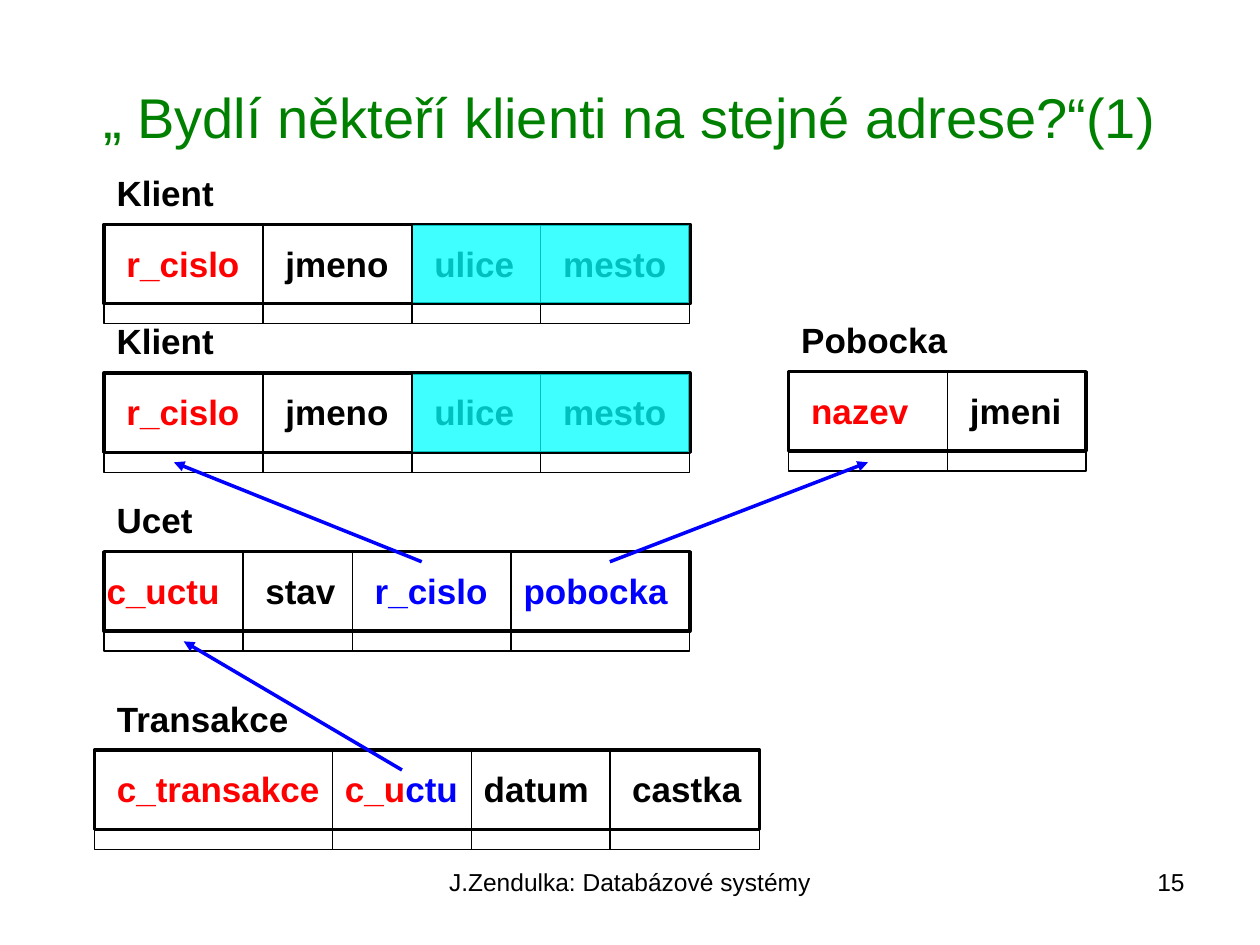
from lxml import etree
from pptx import Presentation
from pptx.dml.color import RGBColor
from pptx.enum.shapes import MSO_CONNECTOR, MSO_SHAPE
from pptx.enum.text import MSO_ANCHOR, MSO_AUTO_SIZE, PP_ALIGN
from pptx.oxml.ns import qn
from pptx.util import Pt

RECT, STRAIGHT = MSO_SHAPE.RECTANGLE, MSO_CONNECTOR.STRAIGHT
LEFT, CENTER, RIGHT = PP_ALIGN.LEFT, PP_ALIGN.CENTER, PP_ALIGN.RIGHT
FONT = "Arial"
COLORS = {"text": "000000", "title": "008000", "key": "FF0000",
          "foreign": "0000FF", "highlight": "00FFFF"}

# Content
TITLE = "„ Bydlí někteří klienti na stejné adrese?“(1)"
FOOTER, PAGE = "J.Zendulka: Databázové systémy", "15"

PAD = 5.7  # usual gap between a column edge and its text box
# Field: text runs with colours, text box width, gap from the column edge
CLIENT_FIELDS = [([("r_cislo", "key")], 78.5, PAD), ([("jmeno", "text")], 73.5, PAD),
                 ([("ulice", "text")], 60, PAD), ([("mesto", "text")], 73.5, PAD)]
BRANCH_FIELDS = [([("nazev", "key")], 70, PAD), ([("jmeni", "text")], 66, PAD)]
ACCOUNT_FIELDS = [([("c_uctu", "key")], 78.5, -PAD), ([("stav", "text")], 54, PAD),
                  ([("r_cislo", "foreign")], 78.5, PAD),
                  ([("pobocka", "foreign")], 96.5, 0)]
TRANSACTION_FIELDS = [([("c_transakce", "key")], 130.5, PAD),
                      ([("c_u", "key"), ("ctu", "foreign")], 78.5, 0),
                      ([("datum", "text")], 74, 0), ([("castka", "text")], 76.5, PAD)]

CLIENT_EDGES = [59.5, 150.3, 235.4, 309, 394.2]
# Relation: name, gap before the name, top, column edges, fields
RELATIONS = [
    ("Klient", 0, 213.1, CLIENT_EDGES, CLIENT_FIELDS),
    ("Pobocka", 0, 212.4, [450.7, 541.5, 620.6], BRANCH_FIELDS),
    ("Ucet", 0, 315.3, [59.5, 138.8, 201.3, 292.1, 394.2], ACCOUNT_FIELDS),
    ("Transakce", PAD, 428.7, [54, 190, 269.3, 348.5, 434], TRANSACTION_FIELDS),
    ("Klient", 0, 128.2, CLIENT_EDGES, CLIENT_FIELDS),
]
HEAD_H, BODY_H = 45.4, 11.4
ARROWS = [(229.7, 440, 105, 366.5), (241, 321, 99.4, 264.2), (348.5, 321, 496, 264.2)]
HIGHLIGHT_TOPS = [128.2, 213.1]

prs = Presentation()
prs.slide_width, prs.slide_height = Pt(720), Pt(540)
s = prs.slides.add_slide(prs.slide_layouts[5])


def rgb(name):
    return RGBColor.from_string(COLORS[name])


def add_rect(x, y, w, h, line_width, fill=None, opacity=100):
    sp = s.shapes.add_shape(RECT, Pt(x), Pt(y), Pt(w), Pt(h))
    sp.shadow.inherit = False
    sp.line.color.rgb = rgb("text")
    sp.line.width = Pt(line_width)
    if fill:
        sp.fill.solid()
        sp.fill.fore_color.rgb = rgb(fill)
        color = sp.fill._xPr.find(qn("a:solidFill"))[0]
        etree.SubElement(color, qn("a:alpha"), val=str(opacity * 1000))
    else:
        sp.fill.background()


def add_line(x1, y1, x2, y2, color, width, arrow=False):
    c = s.shapes.add_connector(STRAIGHT, Pt(x1), Pt(y1), Pt(x2), Pt(y2))
    c.line.color.rgb = rgb(color)
    c.line.width = Pt(width)
    if arrow:
        etree.SubElement(c.line._get_or_add_ln(), qn("a:tailEnd"), type="triangle")
    etree.SubElement(c._element.spPr, qn("a:effectLst"))


def add_text(x, y, w, h, runs, size=20, bold=True, align=LEFT):
    tf = s.shapes.add_textbox(Pt(x), Pt(y), Pt(w), Pt(h)).text_frame
    tf.word_wrap = True
    if align == LEFT:
        tf.margin_right = 0  # room for the tight field names
    p = tf.paragraphs[0]
    p.alignment = align
    p.font.name, p.font.size, p.font.bold = FONT, Pt(size), bold
    for text, color in runs:
        r = p.add_run()
        r.text = text
        r.font.color.rgb = rgb(color)


def add_relation(name, name_gap, top, edges, fields):
    left, width = edges[0], edges[-1] - edges[0]
    add_rect(left, top, width, HEAD_H, 2)
    add_rect(left, top + HEAD_H, width, BODY_H, 0.75)
    for x in edges[1:-1]:
        add_line(x, top, x, top + HEAD_H + BODY_H, "text", 0.75)
    for x, (runs, w, gap) in zip(edges, fields):
        add_text(x + gap, top + 6.6, w, 31.5, runs)
    add_text(left + name_gap, top - 33.9, 120, 31.5, [(name, "text")])


# Title
title = s.shapes.title
title.left, title.top, title.width, title.height = Pt(36), Pt(21.6), Pt(648), Pt(90)
tf = title.text_frame
tf.text = TITLE
tf.auto_size = MSO_AUTO_SIZE.NONE
tf.vertical_anchor = MSO_ANCHOR.MIDDLE
p = tf.paragraphs[0]
p.alignment = CENTER
p.font.name, p.font.size = FONT, Pt(32)
p.font.color.rgb = rgb("title")

# Footer and page number
add_text(246, 492, 228, 37.5, [(FOOTER, "text")], 14, False, CENTER)
add_text(516, 492, 168, 37.5, [(PAGE, "text")], 14, False, RIGHT)

# Relations, references between them, highlighted address columns
for relation in RELATIONS:
    add_relation(*relation)
for ends in ARROWS:
    add_line(*ends, "foreign", 2, arrow=True)
for top in HIGHLIGHT_TOPS:
    add_rect(CLIENT_EDGES[2], top, CLIENT_EDGES[-1] - CLIENT_EDGES[2], HEAD_H,
             0.75, "highlight", 75)

prs.save("out.pptx")
